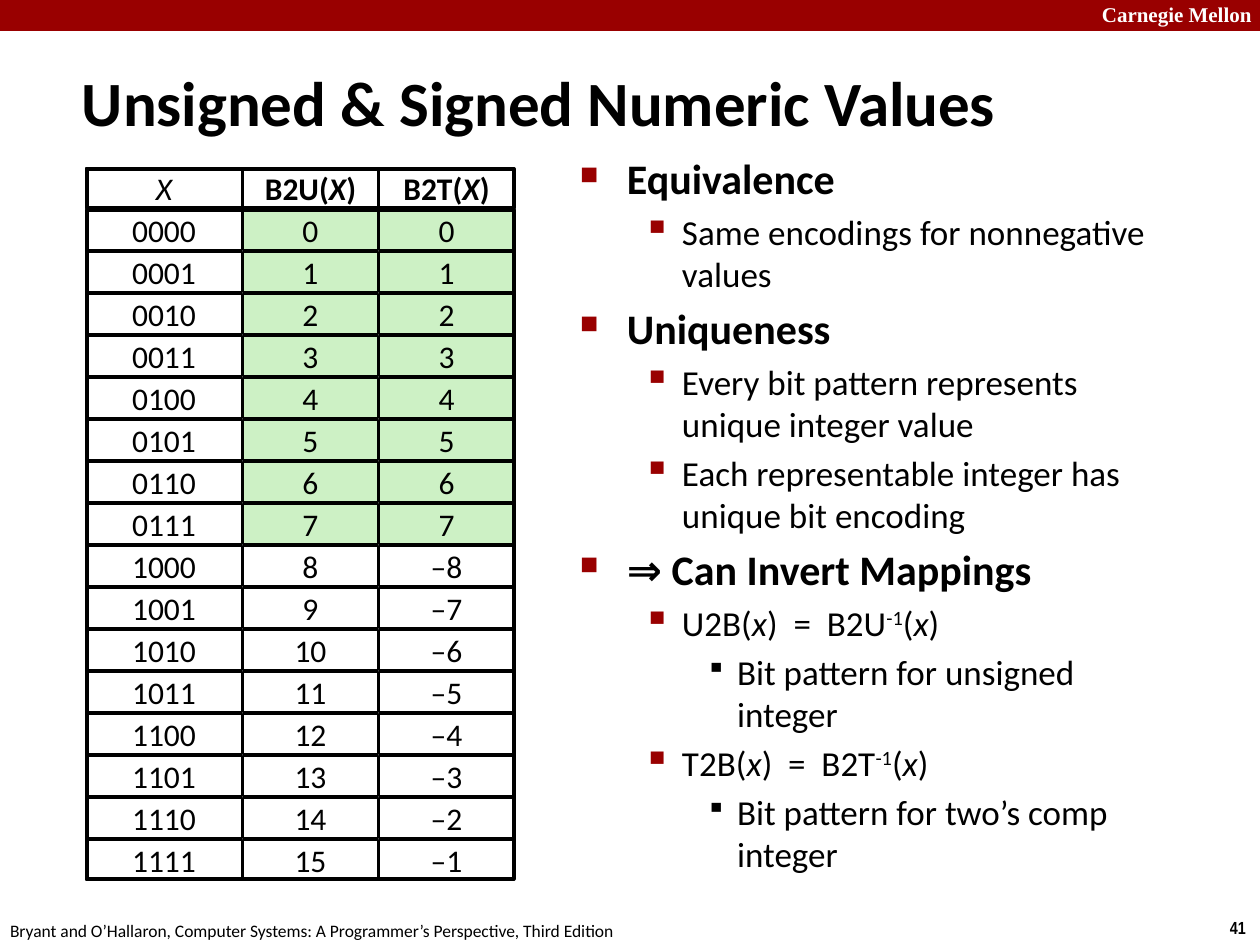
from lxml.etree import SubElement
from pptx import Presentation
from pptx.dml.color import RGBColor
from pptx.enum.shapes import MSO_SHAPE as Shape
from pptx.enum.text import MSO_ANCHOR as Anchor, PP_ALIGN as Align
from pptx.oxml.ns import qn
from pptx.util import Emu, Pt

PX = 914400 // 126
RED, GREEN, WHITE, BLACK = "990000", "CDF1C5", "FFFFFF", "000000"

COLUMNS = [(86, 156), (243, 135), (379, 135)]  # left, width
GRID_TOP, ROW_PITCH, CELL_HEIGHT = 168, 42, 40

ITALIC = {"italic": True}
SUPER = {"baseline": 30}

# size, left margin, hanging indent, bullet, bullet colour, bullet size in %
LEVELS = [
    (24, 47, 47, "■", RED, 60),
    (20, 102, 39, "▪", RED, 110),
    (20, 157, 31, "▪", BLACK, 80),
]


def px(length):
    return Emu(length * PX)


def rgb(value):
    return RGBColor.from_string(value)


def inverse(name, source):
    """Spans of a formula such as U2B(x) = B2U⁻¹(x)."""
    return [(f"{name}(", {}), ("x", ITALIC), (f")  =  {source}", {}),
            ("-1", SUPER), ("(", {}), ("x", ITALIC), (")", {})]


OUTLINE = [
    (0, "Equivalence"),
    (1, "Same encodings for nonnegative values"),
    (0, "Uniqueness"),
    (1, "Every bit pattern represents unique integer value"),
    (1, "Each representable integer has unique bit encoding"),
    (0, "⇒ Can Invert Mappings"),
    (1, inverse("U2B", "B2U")),
    (2, "Bit pattern for unsigned integer"),
    (1, inverse("T2B", "B2T")),
    (2, "Bit pattern for two’s comp integer"),
]


def add_text(para, text, *, size, font="Calibri", color=BLACK, bold=False,
             align=Align.LEFT):
    """Write a string, or a list of (text, format) spans, into a paragraph."""
    para.alignment = align
    spans = [(text, {})] if isinstance(text, str) else text
    for words, style in spans:
        span = para.add_run()
        span.text = words
        span.font.name = font
        span.font.size = Pt(size)
        span.font.bold = bold
        span.font.italic = style.get("italic", False)
        span.font.color.rgb = rgb(color)
        if "baseline" in style:
            span._r.get_or_add_rPr().set("baseline", str(style["baseline"] * 1000))


def add_box(page, left, top, width, height, wrap=True, inset=(13, 6)):
    """Add an empty text box and return its text frame."""
    frame = page.shapes.add_textbox(px(left), px(top), px(width), px(height)).text_frame
    frame.word_wrap = wrap
    frame.margin_left = frame.margin_right = px(inset[0])
    frame.margin_top = frame.margin_bottom = px(inset[1])
    return frame


def add_label(page, left, top, width, height, text, *, wrap=True, inset=(13, 6), **style):
    frame = add_box(page, left, top, width, height, wrap, inset)
    add_text(frame.paragraphs[0], text, **style)


def add_rect(shapes, left, top, width, height, fill=None, line=None):
    rect = shapes.add_shape(Shape.RECTANGLE, px(left), px(top), px(width), px(height))
    rect.shadow.inherit = False
    if fill:
        rect.fill.solid()
        rect.fill.fore_color.rgb = rgb(fill)
    else:
        rect.fill.background()
    if line:
        rect.line.color.rgb = rgb(BLACK)
        rect.line.width = Pt(line)
    else:
        rect.line.fill.background()
    return rect


def add_cell(shapes, row, column, text, fill=WHITE, bold=False):
    left, width = COLUMNS[column]
    cell = add_rect(shapes, left, GRID_TOP + row * ROW_PITCH, width, CELL_HEIGHT, fill, 1)
    frame = cell.text_frame
    frame.word_wrap = False
    frame.vertical_anchor = Anchor.MIDDLE
    add_text(frame.paragraphs[0], text, size=18, bold=bold, align=Align.CENTER)


def add_value_grid(page):
    """Every 4-bit pattern with its unsigned and two's complement value."""
    shapes = page.shapes.add_group_shape().shapes
    add_cell(shapes, 0, 0, [("X", ITALIC)])
    for column, name in enumerate(("B2U", "B2T"), start=1):
        add_cell(shapes, 0, column, [(f"{name}(", {}), ("X", ITALIC), (")", {})], bold=True)
    for value in range(16):
        same = value < 8
        signed = str(value) if same else f"–{16 - value}"
        fill = GREEN if same else WHITE
        add_cell(shapes, value + 1, 0, f"{value:04b}")
        add_cell(shapes, value + 1, 1, str(value), fill)
        add_cell(shapes, value + 1, 2, signed, fill)
    for top, height in ((169, 39), (210, 669)):
        add_rect(shapes, 87, top, 427, height, line=2)


def set_bullet(para, margin, hanging, mark, color, percent):
    props = para._p.get_or_add_pPr()
    props.set("marL", str(px(margin)))
    props.set("indent", str(-px(hanging)))
    SubElement(SubElement(props, qn("a:buClr")), qn("a:srgbClr")).set("val", color)
    SubElement(props, qn("a:buSzPct")).set("val", str(percent * 1000))
    SubElement(props, qn("a:buChar")).set("char", mark)


def add_outline(page):
    frame = add_box(page, 567, 147, 615, 720)
    for index, (level, text) in enumerate(OUTLINE):
        para = frame.add_paragraph() if index else frame.paragraphs[0]
        size, *bullet = LEVELS[level]
        set_bullet(para, *bullet)
        para.level = level
        if index:
            para.space_before = Pt(size * 0.2)
        add_text(para, text, size=size, bold=level == 0)


def main():
    deck = Presentation()
    deck.slide_width, deck.slide_height = px(1260), px(945)
    page = deck.slides.add_slide(deck.slide_layouts[6])

    add_rect(page.shapes, 0, 0, 1260, 31, RED)
    add_label(page, 1089, -4, 180, 38, "Carnegie Mellon",
              size=12, font="Times New Roman", color=WHITE, bold=True)
    add_label(page, 1217, 911, 43, 34, "41", wrap=False,
              size=10, font="Arial Narrow", bold=True)
    add_label(page, -3, 914, 640, 34,
              "Bryant and O’Hallaron, Computer Systems: A Programmer’s Perspective, Third Edition",
              size=10)
    add_label(page, 73, 60, 1144, 77, "Unsigned & Signed Numeric Values",
              inset=(9, 4), size=36, bold=True)
    add_outline(page)
    add_value_grid(page)

    deck.save("out.pptx")


if __name__ == "__main__":
    main()
